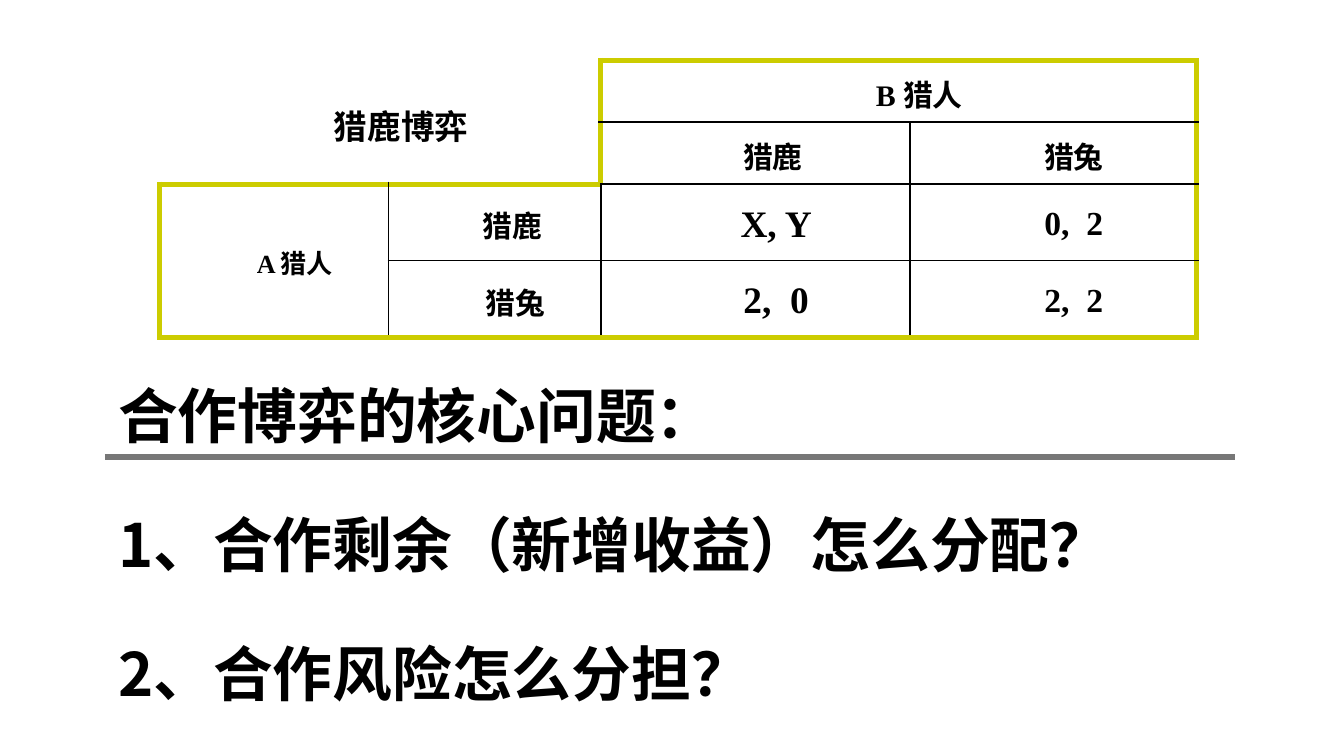
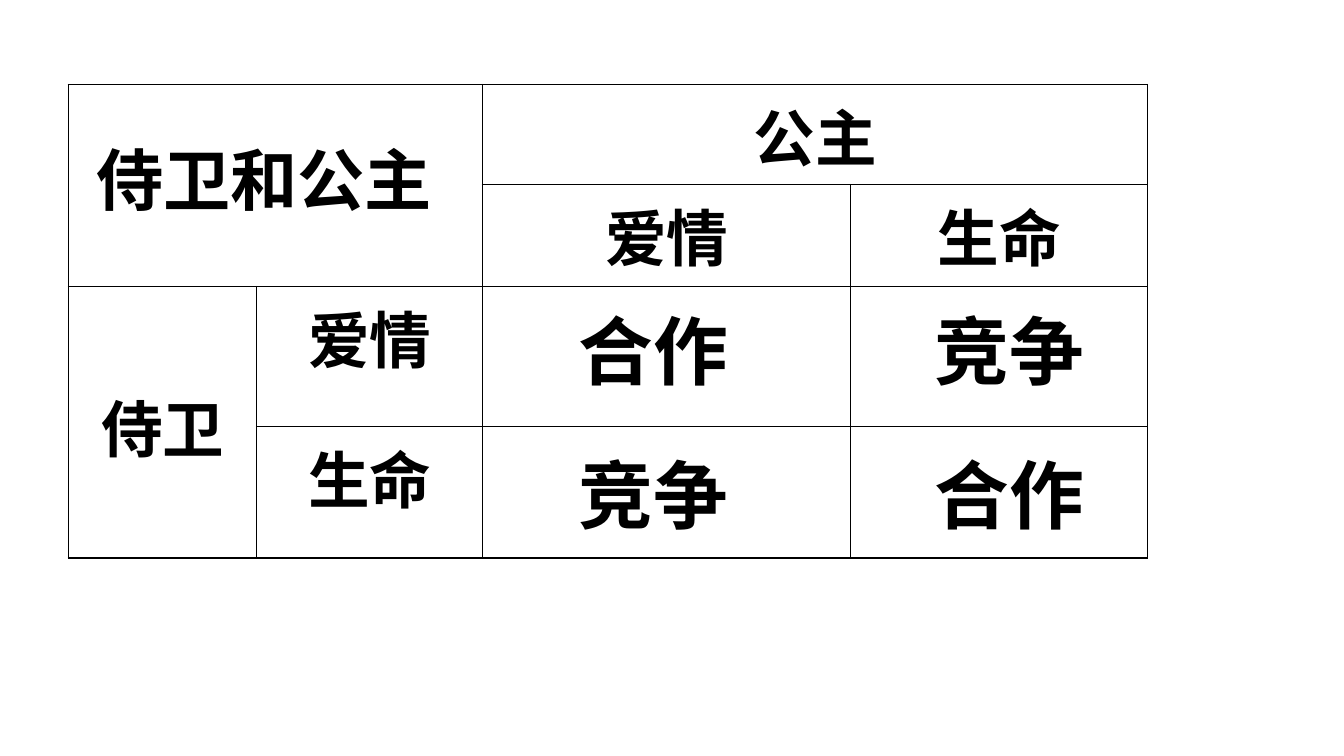
from lxml.etree import SubElement
from pptx import Presentation
from pptx.dml.color import RGBColor
from pptx.enum.shapes import MSO_CONNECTOR
from pptx.enum.text import MSO_ANCHOR, MSO_AUTO_SIZE, PP_ALIGN
from pptx.oxml import parse_xml
from pptx.oxml.ns import nsdecls, qn
from pptx.util import Inches, Pt

BLACK = RGBColor(0x00, 0x00, 0x00)
GOLD = RGBColor(0xCC, 0xCC, 0x00)
GRAY = RGBColor(0x77, 0x77, 0x77)
WHITE = RGBColor(0xFF, 0xFF, 0xFF)
HAN = "Noto Sans CJK SC"
SERIF = "Times New Roman"
SANS = "Calibri"
SIDES = {"L": (0, -1), "R": (0, 1), "T": (-1, 0), "B": (1, 0)}
CORNER = (0, 0)
MERGES = [(0, 0, 1, 1), (0, 2, 0, 3), (2, 0, 3, 0)]


def plain(one, two):
    return None if one == two else (BLACK, 1)


def framed(one, two):
    if one == two or {one, two} == {CORNER, None}:
        return None
    return (GOLD, 3) if {one, two} & {CORNER, None} else (BLACK, 1)


def beyond(owner, spot, step):
    r, c = spot[0] + step[0], spot[1] + step[1]
    while owner[spot] == spot and owner.get((r, c)) == spot:
        r, c = r + step[0], c + step[1]
    return owner.get((r, c))


class Deck:
    def __init__(self):
        self.prs = Presentation()
        self.prs.slide_width = Inches(10)
        self.prs.slide_height = Inches(10 * 9 / 16)
        self.slide = None

    def page(self):
        self.slide = self.prs.slides.add_slide(self.prs.slide_layouts[6])
        self.slide.background.fill.solid()
        self.slide.background.fill.fore_color.rgb = WHITE

    def style(self, para, size, face, align=PP_ALIGN.CENTER):
        para.alignment = align
        for run in para.runs:
            font = run.font
            font.size = Pt(size)
            font.bold = True
            font.color.rgb = BLACK
            font.name = face
            latin = font._element.find(qn("a:latin"))
            latin.addnext(parse_xml(f'<a:ea {nsdecls("a")} typeface="{HAN}"/>'))

    def text(self, box, lines, size, face=HAN, align=PP_ALIGN.CENTER, gap=1.0, wrap=True):
        frame = self.slide.shapes.add_textbox(*map(Inches, box)).text_frame
        frame.word_wrap = wrap
        frame.auto_size = MSO_AUTO_SIZE.SHAPE_TO_FIT_TEXT
        frame.text = "\n".join(lines)
        for para in frame.paragraphs:
            para.line_spacing = gap
            self.style(para, size, face, align)

    def line(self, x, y, end):
        rule = self.slide.shapes.add_connector(
            MSO_CONNECTOR.STRAIGHT, Inches(x), Inches(y), Inches(end), Inches(y))
        rule.line.color.rgb = GRAY
        rule.line.width = Pt(3)
        SubElement(rule._element.spPr, qn("a:effectLst"))

    def edge(self, side, look):
        if look:
            color, width = look
            head = f' w="{Pt(width)}"'
            fill = f'<a:solidFill><a:srgbClr val="{color}"/></a:solidFill>'
        else:
            head, fill = "", "<a:noFill/>"
        tag = f"a:ln{side}"
        return parse_xml(f'<{tag} {nsdecls("a")}{head}>{fill}</{tag}>')

    def grid(self, box, cols, rows, cells, rule, face, pad):
        shape = self.slide.shapes.add_table(len(rows), len(cols), *map(Inches, box))
        table = shape.table
        table.first_row = table.horz_banding = False
        for col, width in zip(table.columns, cols):
            col.width = Inches(width)
        for row, height in zip(table.rows, rows):
            row.height = Inches(height)
        owner = {(r, c): (r, c) for r in range(len(rows)) for c in range(len(cols))}
        for top, left, low, right in MERGES:
            table.cell(top, left).merge(table.cell(low, right))
            for r in range(top, low + 1):
                for c in range(left, right + 1):
                    owner[r, c] = (top, left)
        for spot, own in owner.items():
            cell = table.cell(*spot)
            cell.fill.background()
            cell.margin_left = cell.margin_right = Inches(0.1)
            cell.margin_top = cell.margin_bottom = Inches(pad)
            for place, (side, step) in enumerate(SIDES.items()):
                look = rule(own, beyond(owner, spot, step))
                cell._tc.tcPr.insert(place, self.edge(side, look))
        for spot, (words, size) in cells.items():
            cell = table.cell(*spot)
            cell.text_frame.text = words
            self.style(cell.text_frame.paragraphs[0], size, face)
        return table


def hunt(deck):
    deck.page()
    cells = {
        (0, 0): ("猎鹿博弈", 18), (0, 2): ("B 猎人", 16),
        (1, 2): ("猎鹿 ", 16), (1, 3): ("猎兔", 16),
        (2, 0): ("A 猎人", 14), (2, 1): ("猎鹿 ", 16),
        (2, 2): ("X, Y", 20), (2, 3): ("0,  2", 18),
        (3, 1): ("猎兔", 16), (3, 2): ("2,  0", 20), (3, 3): ("2,  2", 18),
    }
    table = deck.grid((1.19, 0.45, 7.72, 2.06), (1.7, 1.58, 2.3, 2.13),
                      (0.46, 0.46, 0.57, 0.57), cells, framed, SERIF, 0.03)
    for spot in cells:
        cell = table.cell(*spot)
        cell.vertical_anchor = MSO_ANCHOR.MIDDLE
        para = cell.text_frame.paragraphs[0]
        para.line_spacing = 1.1
        props = para._p.get_or_add_pPr()
        props.set("marL", str(Inches(0.31)))
        props.set("indent", "0")
    lines = ["合作博弈的核心问题：", "1、合作剩余（新增收益）怎么分配？", "2、合作风险怎么分担？"]
    deck.text((0.78, 2.34, 8.69, 3.01), lines, 32, align=PP_ALIGN.LEFT, gap=1.8)
    deck.line(0.78, 3.4, 9.19)


def guard(deck):
    deck.page()
    names = {(0, 2): "公主", (1, 2): "爱情", (1, 3): "生命",
             (2, 0): "侍卫", (2, 1): "爱情", (3, 1): "生命"}
    cells = {spot: (name, 33) for spot, name in names.items()}
    table = deck.grid((0.51, 0.63, 8.03, 3.52), (1.4, 1.68, 2.74, 2.21),
                      (0.74, 0.76, 1.04, 0.98), cells, plain, HAN, 0.04)
    table.cell(2, 0).margin_top = Inches(0.7)
    deck.text((0.51, 0.98, 2.91, 0.71), ["侍卫和公主"], 36, SANS)
    for r, y in enumerate((2.22, 3.29)):
        for c, x in enumerate((4.2, 6.85)):
            word = "合作" if r == c else "竞争"
            deck.text((x, y, 1.32, 0.77), [word], 40, wrap=False)


def main():
    deck = Deck()
    hunt(deck)
    guard(deck)
    deck.prs.save("out.pptx")


if __name__ == "__main__":
    main()
